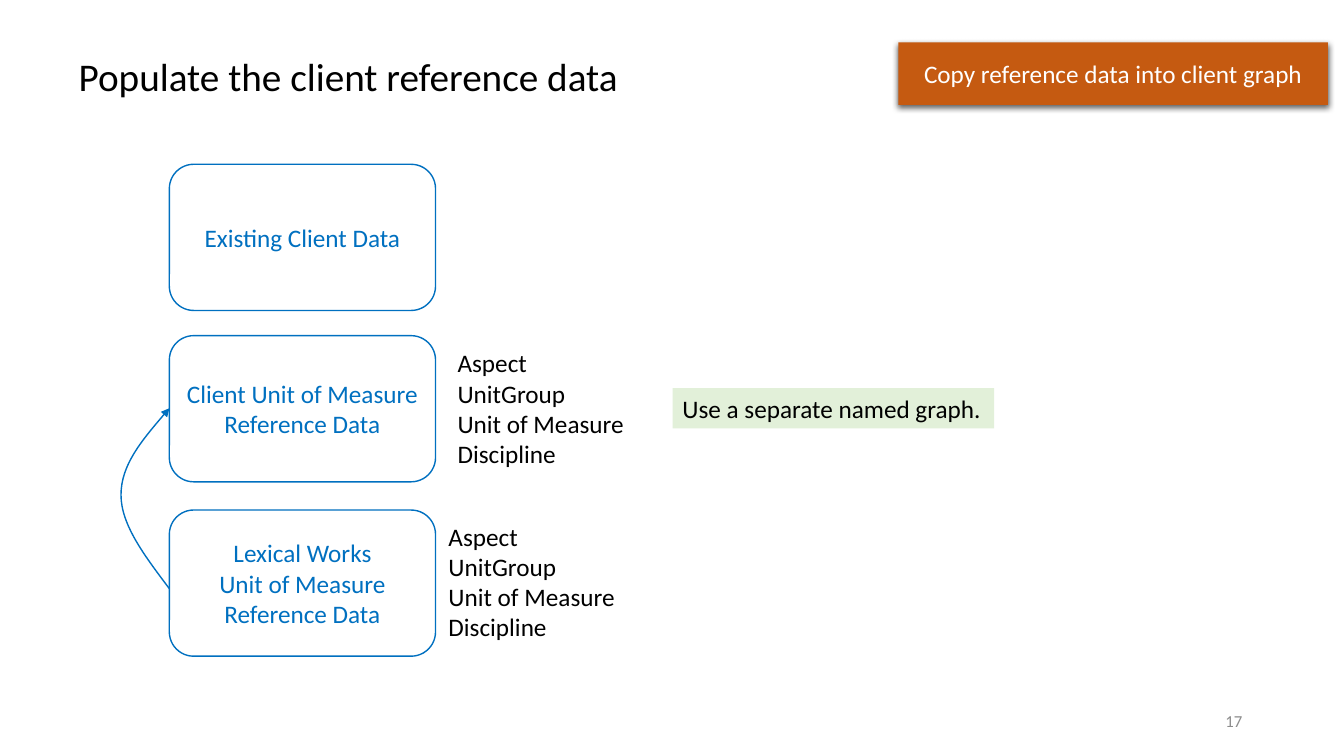
"""Build the slide on populating client reference data."""
from lxml import etree
from pptx import Presentation
from pptx import util as u
from pptx.dml.color import RGBColor
from pptx.enum import shapes, text
from pptx.oxml.ns import qn

COLORS = {"blue": "0070C0", "orange": "C55A11", "green": "E2F0D9",
          "black": "000000", "white": "FFFFFF", "gray": "8C8C8C"}
BOX_X, BOX_W, BOX_H = 1.68, 2.64, 1.45
KINDS = ["Aspect", "UnitGroup", "Unit of Measure", "Discipline"]
STAGES = [
    (1.63, ["Existing Client Data"]),
    (3.33, ["Client Unit of Measure", "Reference Data"]),
    (5.06, ["Lexical Works", "Unit of Measure", "Reference Data"]),
]


def rgb(name):
    """Return the named colour."""
    return RGBColor.from_string(COLORS[name])


def inches(values):
    """Convert numbers to lengths."""
    return [u.Inches(v) for v in values]


def add_xml(parent, tag, **attrs):
    """Append a drawing element with its attributes."""
    return etree.SubElement(parent, qn(tag), attrs)


def write(sp, lines, color="black", size=18, align=text.PP_ALIGN.LEFT,
          anchor=text.MSO_ANCHOR.TOP, wrap=True):
    """Fill a shape with formatted paragraphs."""
    tf = sp.text_frame
    tf.text = "\n".join(lines)
    frame = {"word_wrap": wrap, "vertical_anchor": anchor,
             "auto_size": text.MSO_AUTO_SIZE.NONE}
    for name, value in frame.items():
        setattr(tf, name, value)
    for p in tf.paragraphs:
        p.alignment = align
        for name, value in {"name": "Calibri", "size": u.Pt(size)}.items():
            setattr(p.runs[0].font, name, value)
        p.runs[0].font.color.rgb = rgb(color)


def add_box(s, kind, at, fill=None, line=None):
    """Add a preset shape without inherited effects."""
    sp = s.shapes.add_shape(kind, *inches(at))
    sp.shadow.inherit = False
    style(sp, fill, line)
    return sp


def style(sp, fill=None, line=None):
    """Set the fill and outline of a shape."""
    if fill:
        sp.fill.solid()
        sp.fill.fore_color.rgb = rgb(fill)
    else:
        sp.fill.background()
    if line:
        sp.line.color.rgb = rgb(line)
        sp.line.width = u.Pt(1)
    else:
        sp.line.fill.background()


def add_label(s, at, lines, **fmt):
    """Add a text box."""
    write(s.shapes.add_textbox(*inches(at)), lines, **fmt)


def add_shadow(sp):
    """Give a shape a soft shadow below."""
    effects = sp._element.spPr.find(qn("a:effectLst"))
    shadow = add_xml(effects, "a:outerShdw", blurRad=str(u.Pt(4.5)),
                     dist=str(u.Pt(1.5)), dir="5400000", rotWithShape="0")
    color = add_xml(shadow, "a:srgbClr", val=COLORS["black"])
    add_xml(color, "a:alpha", val="63000")


def add_curve(s, start, points):
    """Add a Bezier curve with an arrowhead at its start."""
    builder = s.shapes.build_freeform(*inches(start))
    builder.add_line_segments([inches(point) for point in points], close=False)
    sp = builder.convert_to_shape()
    sp.shadow.inherit = False
    style(sp, line="blue")
    outline = next(sp._element.iter(qn("a:path")))
    segments = outline.findall(qn("a:lnTo"))
    for i in range(0, len(segments), 3):
        curve = add_xml(outline, "a:cubicBezTo")
        for segment in segments[i:i + 3]:
            curve.append(segment[0])
            outline.remove(segment)
    add_xml(sp.line._get_or_add_ln(), "a:headEnd", type="triangle")


def main():
    """Build and save the slide."""
    prs = Presentation()
    prs.slide_width, prs.slide_height = inches((13.33, 7.5))
    s = prs.slides.add_slide(prs.slide_layouts[5])
    centered = {"align": text.PP_ALIGN.CENTER, "anchor": text.MSO_ANCHOR.MIDDLE}
    rect = shapes.MSO_SHAPE.RECTANGLE

    title = s.shapes.title
    title.left, title.top, title.width, title.height = inches((0.68, 0.47, 5.69, 0.57))
    write(title, ["Populate the client reference data"], size=28, wrap=False)

    for top, lines in STAGES:
        box = add_box(s, shapes.MSO_SHAPE.ROUNDED_RECTANGLE,
                      (BOX_X, top, BOX_W, BOX_H), line="blue")
        write(box, lines, color="blue", **centered)

    add_curve(s, (BOX_X, 4.05), [(1.44, 4.33), (1.2, 4.61), (1.2, 4.91),
                                 (1.2, 5.21), (1.44, 5.52), (BOX_X, 5.84)])

    for left, top in [(4.44, 3.4), (4.35, 5.12)]:
        add_label(s, (left, top, 1.87, 1.31), KINDS, wrap=False)

    note = add_box(s, rect, (6.67, 3.85, 3.19, 0.4), fill="green")
    write(note, ["Use a separate named graph."], wrap=False)

    banner = add_box(s, rect, (8.91, 0.42, 4.26, 0.62), fill="orange")
    add_shadow(banner)
    write(banner, ["Copy reference data into client graph"], color="white", **centered)

    add_label(s, (9.42, 6.95, 3, 0.4), ["17"], color="gray", size=12,
              align=text.PP_ALIGN.RIGHT, anchor=text.MSO_ANCHOR.MIDDLE)
    prs.save("out.pptx")


if __name__ == "__main__":
    main()
